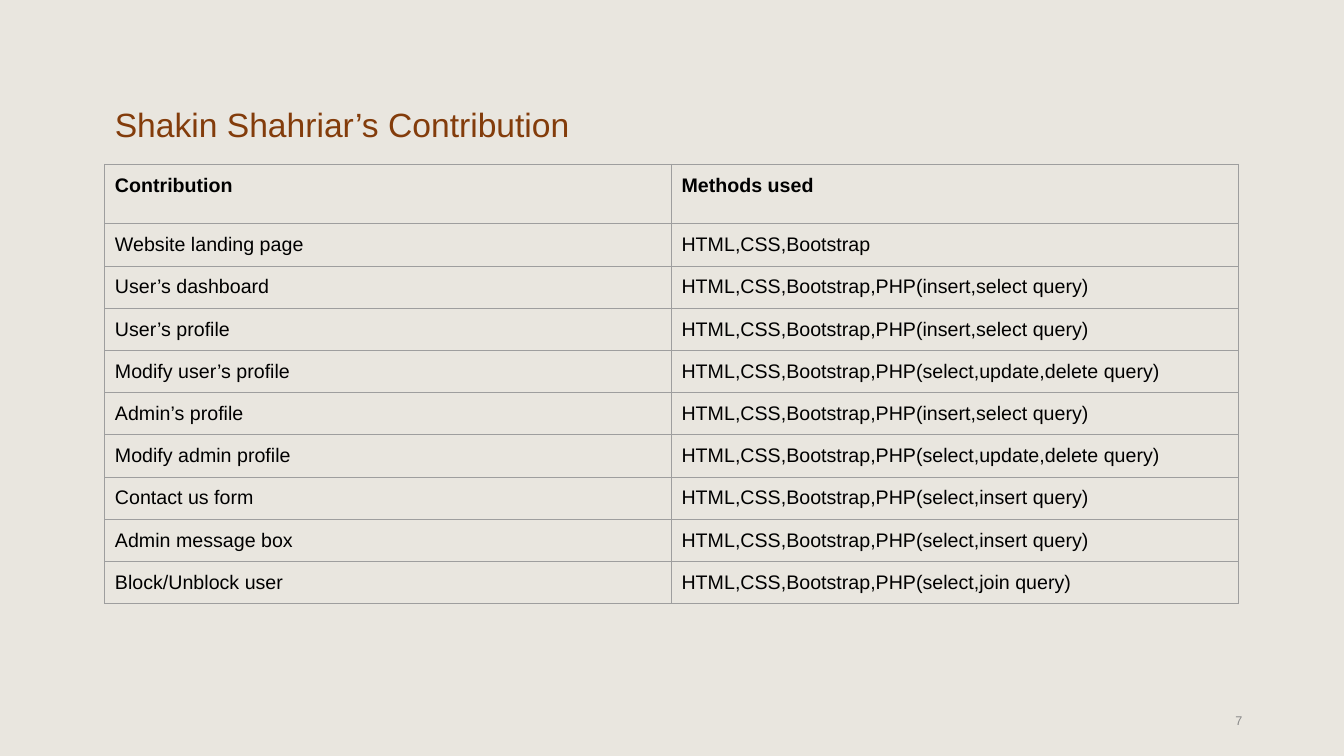
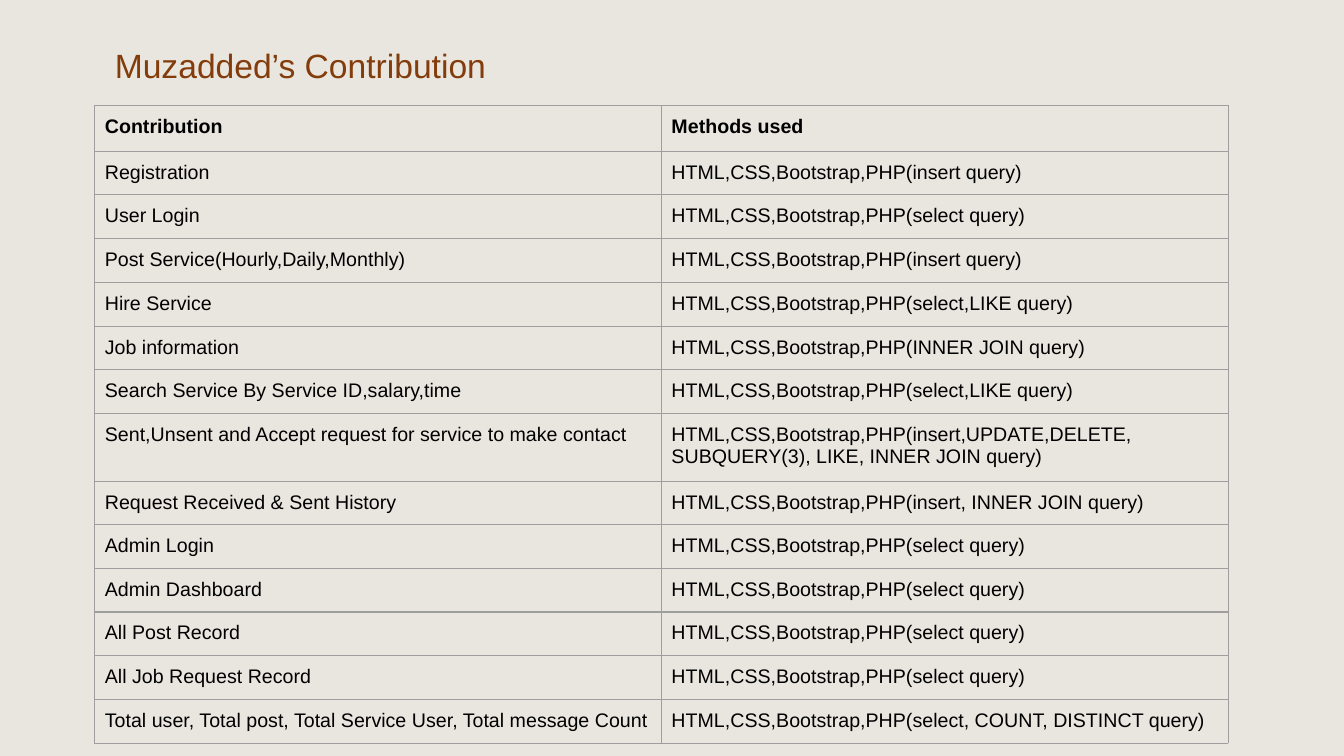
from lxml.etree import SubElement
from pptx import Presentation
from pptx.dml.color import RGBColor
from pptx.enum.text import MSO_ANCHOR as Anchor, PP_ALIGN as Align
from pptx.oxml.ns import qn
from pptx.util import Inches, Pt

# Shared style
PAPER = RGBColor(0xE9, 0xE6, 0xDF)
BROWN = RGBColor(0x83, 0x3C, 0x0B)
BLACK = RGBColor(0x00, 0x00, 0x00)
GREY = RGBColor(0x88, 0x88, 0x88)
BORDER = RGBColor(0x9E, 0x9E, 0x9E)
FONT = "Arial"
TITLE_SIZE, BODY_SIZE, NUMBER_SIZE = 24, 14, 9

# Square grid, ten units to the inch
UNIT = Inches(0.1)
PADDING = 1
TITLE_LEFT, TITLE_WIDTH, TITLE_HEIGHT = 10.4, 69.2, 6.1
COLUMN_WIDTH = 56.2

# Cell wording
HEADINGS = ("Contribution", "Methods used")
STACK = "HTML,CSS,Bootstrap"
PHP = STACK + ",PHP"


def grid(*lengths):
    return [round(length * UNIT) for length in lengths]


class ContributionDeck:
    def __init__(self):
        self.deck = Presentation()
        self.deck.slide_width, self.deck.slide_height = Inches(13.33), Inches(7.5)
        fill = self.deck.slide_master.background.fill
        fill.solid()
        fill.fore_color.rgb = PAPER
        self.page = None

    def new_page(self):
        self.page = self.deck.slides.add_slide(self.deck.slide_layouts[6])

    def style(self, frame, size, color, bold=False, align=Align.LEFT):
        for para in frame.paragraphs:
            para.alignment = align
            for span in para.runs:
                font = span.font
                font.name, font.size, font.bold = FONT, Pt(size), bold
                font.color.rgb = color

    def pad(self, target, sides, ends):
        target.margin_left, target.margin_right = grid(sides, sides)
        target.margin_top, target.margin_bottom = grid(ends, ends)

    def text(self, wording, place, size, color, ends=PADDING,
             anchor=Anchor.TOP, align=Align.LEFT):
        frame = self.page.shapes.add_textbox(*grid(*place)).text_frame
        frame.word_wrap = True
        frame.vertical_anchor = anchor
        self.pad(frame, PADDING, ends)
        frame.text = wording
        self.style(frame, size, color, align=align)

    def title(self, wording, top):
        self.text(wording, (TITLE_LEFT, top, TITLE_WIDTH, TITLE_HEIGHT),
                  TITLE_SIZE, BROWN)

    def page_number(self, number):
        self.text(number, (94.2, 69.5, 30, 4), NUMBER_SIZE, GREY, ends=0.5,
                  anchor=Anchor.MIDDLE, align=Align.RIGHT)

    def outline(self, cell):
        properties = cell._tc.get_or_add_tcPr()
        for side in ("a:lnL", "a:lnR", "a:lnT", "a:lnB"):
            line = SubElement(properties, qn(side), w=str(Pt(0.75)))
            solid = SubElement(line, qn("a:solidFill"))
            SubElement(solid, qn("a:srgbClr"), val=str(BORDER))

    def table(self, left, top, height, rows, fixed=None):
        """Rows not listed in fixed share the remaining height equally."""
        fixed = fixed or {}
        shared = (height - sum(fixed.values())) / (len(rows) - len(fixed))
        place = grid(left, top, 2 * COLUMN_WIDTH, height)
        table = self.page.shapes.add_table(len(rows), 2, *place).table
        table.first_row = table.horz_banding = False
        for column in table.columns:
            column.width = grid(COLUMN_WIDTH)[0]
        for index, wordings in enumerate(rows):
            table.rows[index].height = grid(fixed.get(index, shared))[0]
            for cell, wording in zip(table.rows[index].cells, wordings):
                self.pad(cell, PADDING, PADDING)
                self.outline(cell)
                cell.fill.background()
                cell.text_frame.text = wording
                self.style(cell.text_frame, BODY_SIZE, BLACK,
                           bold=wordings is HEADINGS)


def main():
    show = ContributionDeck()

    # First contributor
    show.new_page()
    show.table(10.4, 16.3, 43.5, [
        HEADINGS,
        ("Website landing page", STACK),
        ("User’s dashboard", PHP + "(insert,select query)"),
        ("User’s profile", PHP + "(insert,select query)"),
        ("Modify user’s profile", PHP + "(select,update,delete query)"),
        ("Admin’s profile", PHP + "(insert,select query)"),
        ("Modify admin profile", PHP + "(select,update,delete query)"),
        ("Contact us form", PHP + "(select,insert query)"),
        ("Admin message box", PHP + "(select,insert query)"),
        ("Block/Unblock user", PHP + "(select,join query)"),
    ], fixed={0: 5.9})
    show.page_number("7")
    show.title("Shakin Shahriar’s Contribution", 9.3)

    # Second contributor: the list continues in a second table
    show.new_page()
    left, top, height = 9.4, 10.5, 50.2
    show.table(left, top, height, [
        HEADINGS,
        ("Registration", PHP + "(insert query)"),
        ("User Login", PHP + "(select query)"),
        ("Post Service(Hourly,Daily,Monthly)", PHP + "(insert query)"),
        ("Hire Service", PHP + "(select,LIKE query)"),
        ("Job information", PHP + "(INNER JOIN query)"),
        ("Search Service By Service ID,salary,time", PHP + "(select,LIKE query)"),
        ("Sent,Unsent and Accept request for service to make contact",
         PHP + "(insert,UPDATE,DELETE,\nSUBQUERY(3), LIKE, INNER JOIN query)"),
        ("Request Received & Sent History", PHP + "(insert, INNER JOIN query)"),
        ("Admin Login", PHP + "(select query)"),
        ("Admin Dashboard", PHP + "(select query)"),
    ], fixed={0: 4.5, 7: 6.7})
    show.title("Muzadded’s Contribution", 3.5)
    show.table(left, top + height, 13, [
        ("All Post Record", PHP + "(select query)"),
        ("All Job Request Record", PHP + "(select query)"),
        ("Total user, Total post, Total Service User, Total message Count",
         PHP + "(select, COUNT, DISTINCT query)"),
    ])

    show.deck.save("out.pptx")


if __name__ == "__main__":
    main()
